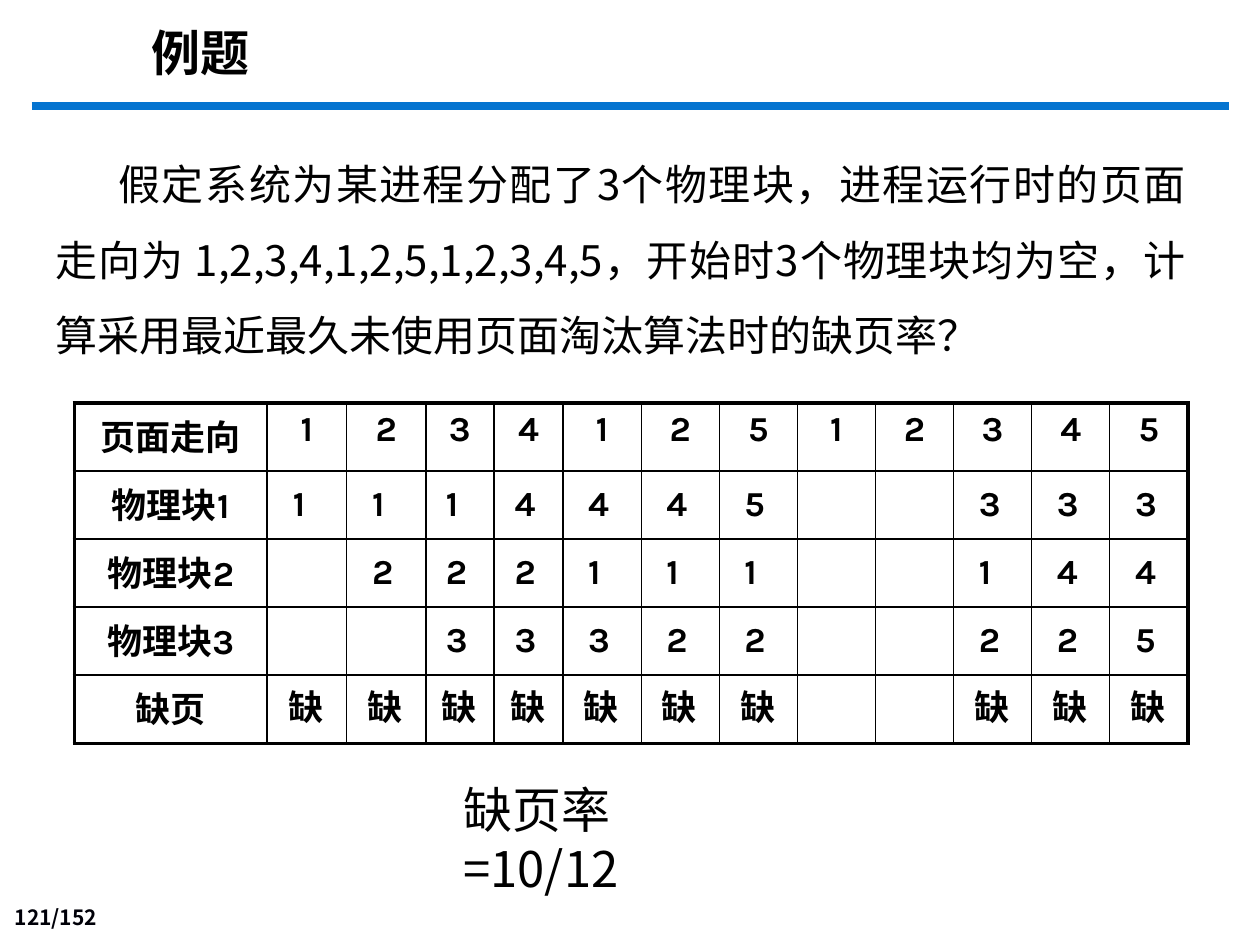
"""Build the worked example on the page fault rate of LRU replacement."""
from dataclasses import dataclass
from itertools import accumulate

from lxml import etree
from pptx import Presentation, util as u
from pptx.dml.color import RGBColor
from pptx.enum import shapes, text
from pptx.oxml import ns

TITLE = "例题"
QUESTION = ("假定系统为某进程分配了3个物理块，进程运行时的页面走向为 1,2,3,4,1,2,5,1,2,3,4,5，"
            "开始时3个物理块均为空，计算采用最近最久未使用页面淘汰算法时的缺页率？")
ANSWER = "缺页率=10/12"
PAGE = "121/152"
ROW_LABELS = ["页面走向", "物理块1", "物理块2", "物理块3", "缺页"]
REFERENCES = "123412512345"
FRAMES = ["1114445  333", " 222111  144", "  33322  225"]
FAULT = "缺"
FAULTS = "".join(" " if frame == " " else FAULT for frame in FRAMES[0])

COLUMNS = [1.53, 0.63, 0.63, 0.54, 0.55] + [0.62] * 8
TABLE_LEFT, TABLE_TOP, ROW_HEIGHT = 0.59, 3.2, 0.54
ENTRY_DROP, ENTRY_HEIGHT = 0.03, 0.43
DIGIT_WIDTH, FAULT_WIDTH = 0.38, 0.45


@dataclass(frozen=True)
class Theme:
    ink: str = "000000"
    page_ink: str = "000008"
    rule: str = "0574D0"
    latin: str = "Karla"
    heading: str = "Times New Roman"
    cjk: str = "Noto Sans CJK SC"
    page_font: str = "Noto Sans CJK JP"
    large: int = 28
    body: int = 24
    cell: int = 20
    small: int = 12
    thick: float = 2.25
    thin: float = 1


THEME = Theme()


def write(frame, words, size, face, bold=False, ink=THEME.ink, align=text.PP_ALIGN.LEFT):
    frame.text = words
    paragraph = frame.paragraphs[0]
    paragraph.alignment = align
    paragraph.space_before = u.Pt(0)
    for run in paragraph.runs:
        run.font.size, run.font.name, run.font.bold = u.Pt(size), face, bold
        run.font.color.rgb = RGBColor.from_string(ink)
        east = etree.SubElement(run.font._element, ns.qn("a:ea"))
        east.set("typeface", THEME.cjk)
    return paragraph


def place(part, left, top, width, height):
    part.left, part.top, part.width, part.height = map(u.Inches, (left, top, width, height))


def add_label(slide, box, words, size, face, wrap=False, **style):
    frame = slide.shapes.add_textbox(*map(u.Inches, box)).text_frame
    frame.word_wrap = wrap
    write(frame, words, size, face, **style)
    return frame


def set_borders(cell, row, column):
    edges = {"L": column == 0, "R": column == len(COLUMNS) - 1,
             "T": row == 0, "B": row == len(ROW_LABELS) - 1}
    properties = cell._tc.get_or_add_tcPr()
    for position, (side, outer) in enumerate(edges.items()):
        line = etree.Element(ns.qn(f"a:ln{side}"))
        line.set("w", str(u.Pt(THEME.thick if outer else THEME.thin)))
        fill = etree.SubElement(line, ns.qn("a:solidFill"))
        etree.SubElement(fill, ns.qn("a:srgbClr")).set("val", THEME.ink)
        properties.insert(position, line)


def add_heading(slide):
    title, question = slide.placeholders
    place(title, 1.1, 0.13, 8.9, 0.57)
    write(title.text_frame, TITLE, THEME.large, THEME.heading, bold=True)
    place(question, 0.34, 1.01, 9.17, 1.92)
    paragraph = write(question.text_frame, QUESTION, THEME.body, THEME.cjk,
                      align=text.PP_ALIGN.JUSTIFY)
    paragraph.line_spacing = 1.5
    properties = paragraph._p.get_or_add_pPr()
    properties.set("marL", "0")
    properties.set("indent", str(u.Inches(0.5)))
    etree.SubElement(properties, ns.qn("a:buNone"))
    for part in (title, question):
        part.text_frame.auto_size = text.MSO_AUTO_SIZE.NONE
        part.text_frame.vertical_anchor = text.MSO_ANCHOR.TOP

    rule = slide.shapes.add_connector(
        shapes.MSO_CONNECTOR.STRAIGHT, *map(u.Inches, (0.25, 0.84, 9.75, 0.84)))
    rule.line.color.rgb = RGBColor.from_string(THEME.rule)
    rule.line.width = u.Pt(4.5)
    etree.SubElement(rule._element.spPr, ns.qn("a:effectLst"))


def add_trace_table(slide):
    table = slide.shapes.add_table(
        len(ROW_LABELS), len(COLUMNS), u.Inches(TABLE_LEFT), u.Inches(TABLE_TOP),
        u.Inches(sum(COLUMNS)), u.Inches(ROW_HEIGHT * len(ROW_LABELS))).table
    table.first_row = table.horz_banding = False
    for column, width in zip(table.columns, COLUMNS):
        column.width = u.Inches(width)
    for row, label in enumerate(ROW_LABELS):
        table.rows[row].height = u.Inches(ROW_HEIGHT)
        references = REFERENCES if row == 0 else " " * len(REFERENCES)
        for column, words in enumerate([label, *references]):
            cell = table.cell(row, column)
            cell.fill.background()
            set_borders(cell, row, column)
            write(cell.text_frame, words.strip(), THEME.cell, THEME.latin,
                  bold=True, align=text.PP_ALIGN.CENTER)


def add_trace_entries(slide):
    lefts = list(accumulate(COLUMNS, initial=TABLE_LEFT))
    for row, entries in enumerate([*FRAMES, FAULTS], start=1):
        top = TABLE_TOP + row * ROW_HEIGHT + ENTRY_DROP
        for column, entry in enumerate(entries, start=1):
            if entry == " ":
                continue
            width = FAULT_WIDTH if entry == FAULT else DIGIT_WIDTH
            left = lefts[column] + (COLUMNS[column] - width) / 2 - 0.02
            add_label(slide, (left, top, width, ENTRY_HEIGHT), entry,
                      THEME.cell, THEME.latin, wrap=entry == FAULT, bold=True)


def main():
    deck = Presentation()
    deck.slide_width, deck.slide_height = u.Inches(10), u.Inches(7.5)
    slide = deck.slides.add_slide(deck.slide_layouts[1])
    add_heading(slide)
    page = add_label(slide, (0, 7.14, 0.87, 0.29), PAGE, THEME.small, THEME.page_font,
                     bold=True, ink=THEME.page_ink, align=text.PP_ALIGN.RIGHT)
    page.vertical_anchor = text.MSO_ANCHOR.BOTTOM
    add_trace_table(slide)
    answer = add_label(slide, (3.58, 6.14, 2.57, 0.57), ANSWER, THEME.large, THEME.cjk, wrap=True)
    answer.margin_right = u.Inches(0.9)
    add_trace_entries(slide)
    deck.save("out.pptx")


if __name__ == "__main__":
    main()
